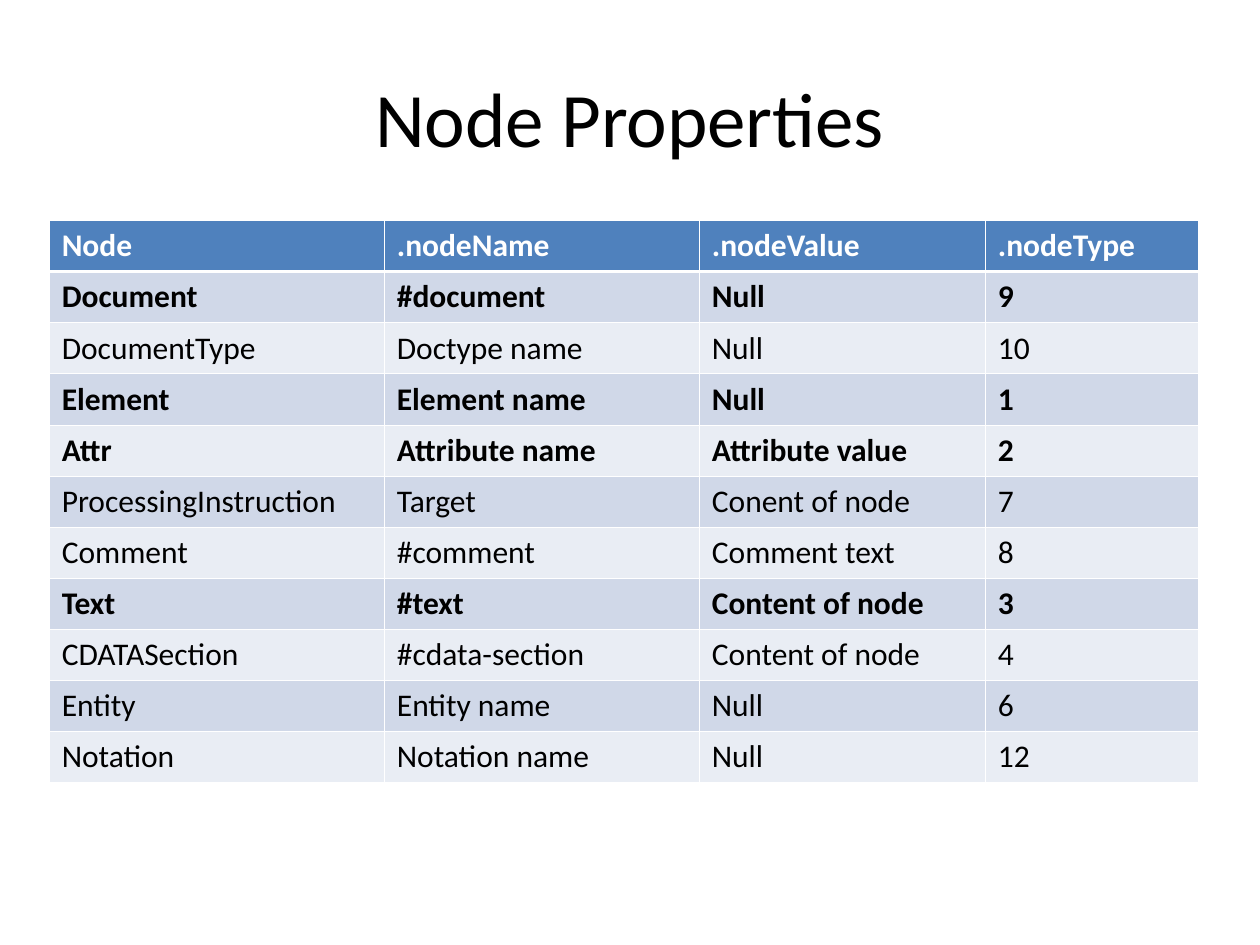
from dataclasses import dataclass

from lxml import etree
from pptx import Presentation
from pptx.dml.color import RGBColor
from pptx.enum.text import MSO_ANCHOR, PP_ALIGN
from pptx.oxml.ns import qn
from pptx.util import Inches, Pt

CENTER, LEFT = PP_ALIGN.CENTER, PP_ALIGN.LEFT
MIDDLE = MSO_ANCHOR.MIDDLE
TITLE_ONLY = 5


@dataclass(frozen=True)
class Theme:
    font: str = "Calibri"
    title_size: float = 44
    cell_size: float = 18
    text: str = "000000"
    header_text: str = "FFFFFF"
    header_fill: str = "4F81BD"
    bands: tuple = ("D0D8E8", "E9EDF4")
    border: str = "FFFFFF"
    thin: float = 0.45
    thick: float = 1.47


THEME = Theme()
COLUMN_WIDTHS = (2.66, 2.5, 2.27, 1.69)
TABLE_HEIGHT = 4.46
HEADER = ("Node", ".nodeName", ".nodeValue", ".nodeType")
NODES = (
    ("Document", "#document", "Null", "9"),
    ("DocumentType", "Doctype name", "Null", "10"),
    ("Element", "Element name", "Null", "1"),
    ("Attr", "Attribute name", "Attribute value", "2"),
    ("ProcessingInstruction", "Target", "Conent of node", "7"),
    ("Comment", "#comment", "Comment text", "8"),
    ("Text", "#text", "Content of node", "3"),
    ("CDATASection", "#cdata-section", "Content of node", "4"),
    ("Entity", "Entity name", "Null", "6"),
    ("Notation", "Notation name", "Null", "12"),
)
KEY_NODES = {"Document", "Element", "Attr", "Text"}


def set_text(tf, text, size, color=THEME.text, bold=False, align=LEFT):
    p = tf.paragraphs[0]
    p.alignment = align
    r = p.add_run()
    r.text = text
    r.font.name = THEME.font
    r.font.size = Pt(size)
    r.font.bold = bold
    r.font.color.rgb = RGBColor.from_string(color)


def set_borders(cell, top, bottom):
    """Draw all four sides; must come before the cell's fill in the XML."""
    tc_pr = cell._tc.get_or_add_tcPr()
    sides = {"L": THEME.thin, "R": THEME.thin, "T": top, "B": bottom}
    for side, width in sides.items():
        ln = etree.SubElement(tc_pr, qn(f"a:ln{side}"), w=str(Pt(width)))
        fill = etree.SubElement(ln, qn("a:solidFill"))
        etree.SubElement(fill, qn("a:srgbClr"), val=THEME.border)


def add_title(slide, text):
    title = slide.shapes.title
    title.left, title.top = Inches(0.5), Inches(0.3)
    title.width, title.height = Inches(9), Inches(1.25)
    title.text_frame.vertical_anchor = MIDDLE
    set_text(title.text_frame, text, THEME.title_size, align=CENTER)


def fill_row(table, row, values, fill, color, bold):
    top = THEME.thick if row == 1 else THEME.thin
    bottom = THEME.thick if row == 0 else THEME.thin
    for column, value in enumerate(values):
        cell = table.cell(row, column)
        set_borders(cell, top, bottom)
        cell.fill.solid()
        cell.fill.fore_color.rgb = RGBColor.from_string(fill)
        set_text(cell.text_frame, value, THEME.cell_size, color, bold)


def add_node_table(slide):
    row_count = len(NODES) + 1
    table = slide.shapes.add_table(
        row_count, len(HEADER), Inches(0.39), Inches(1.75),
        Inches(sum(COLUMN_WIDTHS)), Inches(TABLE_HEIGHT)).table
    for column, width in zip(table.columns, COLUMN_WIDTHS):
        column.width = Inches(width)
    for row in table.rows:
        row.height = Inches(TABLE_HEIGHT / row_count)
    fill_row(table, 0, HEADER, THEME.header_fill, THEME.header_text, True)
    for i, node in enumerate(NODES):
        fill_row(table, i + 1, node, THEME.bands[i % 2], THEME.text,
                 node[0] in KEY_NODES)


def main():
    prs = Presentation()
    prs.slide_width, prs.slide_height = Inches(10), Inches(7.5)
    slide = prs.slides.add_slide(prs.slide_layouts[TITLE_ONLY])
    add_title(slide, "Node Properties")
    add_node_table(slide)
    prs.save("out.pptx")


if __name__ == "__main__":
    main()
